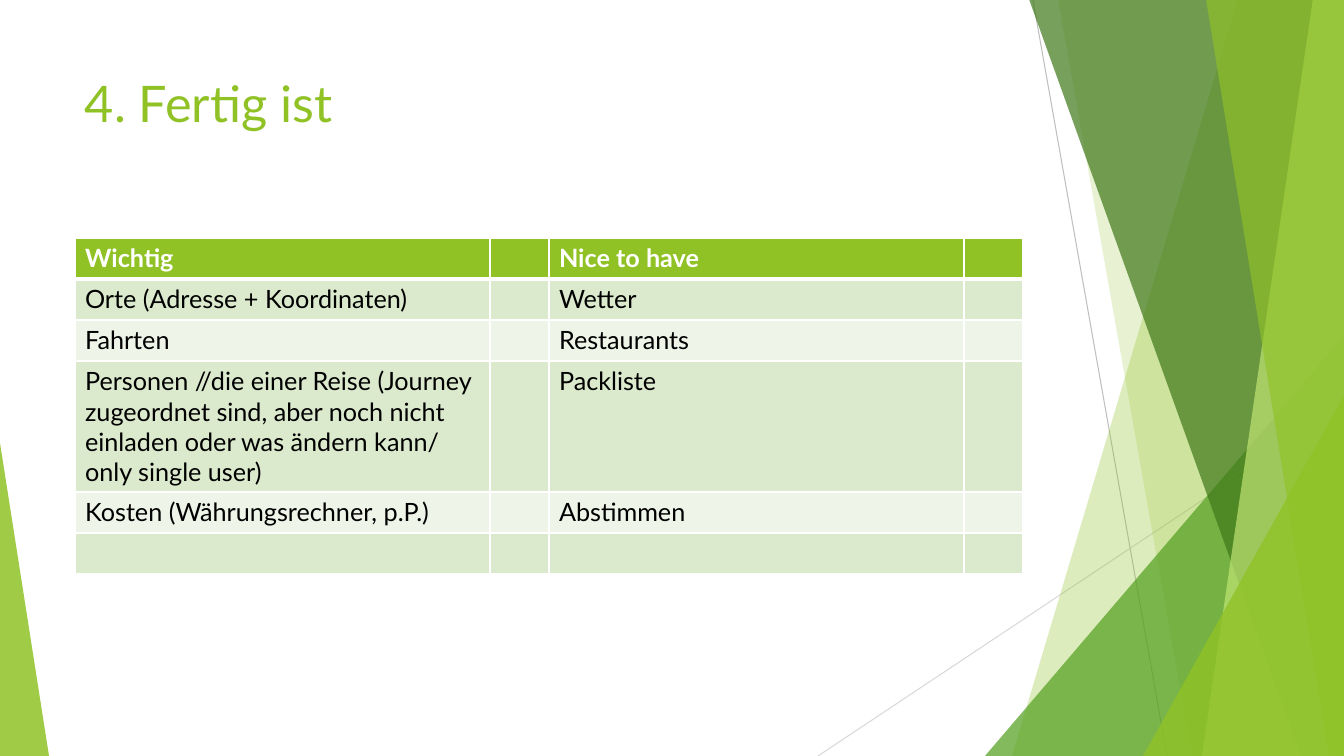
from lxml.etree import SubElement
from pptx import Presentation
from pptx.dml.color import RGBColor
from pptx.enum.shapes import MSO_CONNECTOR, MSO_SHAPE
from pptx.enum.text import MSO_ANCHOR
from pptx.oxml.ns import qn
from pptx.util import Pt

PX = 914400 / 100.8
WIDTH, HEIGHT = 1344, 756

WHITE = RGBColor(0xFF, 0xFF, 0xFF)
BLACK = RGBColor(0x00, 0x00, 0x00)
LIME = RGBColor(0x90, 0xC2, 0x26)
PALE_LIME = RGBColor(0xC0, 0xE4, 0x74)
GREEN = RGBColor(0x54, 0xA0, 0x21)
DARK_GREEN = RGBColor(0x3F, 0x78, 0x19)
BAND_DARK = RGBColor(0xDB, 0xE9, 0xCD)
BAND_LIGHT = RGBColor(0xEE, 0xF4, 0xE8)
GRAY = RGBColor(0xBF, 0xBF, 0xBF)
LIGHT_GRAY = RGBColor(0xD9, 0xD9, 0xD9)


def px(*lengths):
    return [round(length * PX) for length in lengths]


def write(frame, text, size=18, color=BLACK, bold=False, font="Lato"):
    span = frame.paragraphs[0].add_run()
    span.text = text
    span.font.name = font
    span.font.size = Pt(size)
    span.font.bold = bold
    span.font.color.rgb = color


class Page:
    """Draws the elements of one slide in its style."""

    def __init__(self, deck):
        self.slide = deck.slides.add_slide(deck.slide_layouts[6])
        self.shapes = self.slide.shapes

    def line(self, start, end, color):
        line = self.shapes.add_connector(MSO_CONNECTOR.STRAIGHT, *px(*start, *end))
        line.line.color.rgb = color
        line.line.width = Pt(0.75)
        SubElement(line._element.spPr, qn("a:effectLst"))

    def paint(self, shape, color, opacity):
        shape.shadow.inherit = False
        shape.line.fill.background()
        shape.fill.solid()
        shape.fill.fore_color.rgb = color
        tint = shape._element.spPr.find(".//" + qn("a:srgbClr"))
        SubElement(tint, qn("a:alpha")).set("val", str(opacity * 1000))

    def shard(self, top_left, bottom_left, color, opacity):
        """A full-height facet that reaches the right edge of the slide."""
        builder = self.shapes.build_freeform(top_left, -1, scale=PX)
        builder.add_line_segments(
            [(WIDTH, -1), (WIDTH, HEIGHT), (bottom_left, HEIGHT)], close=True)
        self.paint(builder.convert_to_shape(), color, opacity)

    def triangle(self, left, top, width, apex, color, opacity):
        """A triangle standing on the bottom edge of the slide."""
        shape = self.shapes.add_shape(
            MSO_SHAPE.ISOSCELES_TRIANGLE, *px(left, top, width, HEIGHT - top))
        shape.adjustments[0] = apex
        self.paint(shape, color, opacity)

    def text(self, place, text, **style):
        frame = self.shapes.add_textbox(*px(*place)).text_frame
        frame.word_wrap = True
        frame.vertical_anchor = MSO_ANCHOR.TOP
        write(frame, text, **style)

    def cell_borders(self, cell, top, bottom):
        properties = cell._tc.get_or_add_tcPr()
        for side, width in (("lnL", 1), ("lnR", 1), ("lnT", top), ("lnB", bottom)):
            border = SubElement(properties, qn("a:" + side), w=str(Pt(width)))
            fill = SubElement(border, qn("a:solidFill"))
            SubElement(fill, qn("a:srgbClr"), val=str(WHITE))

    def table(self, left, top, widths, row_height, rows):
        frame = self.shapes.add_table(
            len(rows), len(widths),
            *px(left, top, sum(widths), row_height * len(rows)))
        table = frame.table
        for column, width in zip(table.columns, px(*widths)):
            column.width = width
        for r, texts in enumerate(rows):
            table.rows[r].height = px(row_height)[0]
            header = r == 0
            band = LIME if header else BAND_DARK if r % 2 else BAND_LIGHT
            for c, text in enumerate(texts):
                cell = table.cell(r, c)
                self.cell_borders(cell, 3 if r == 1 else 1, 3 if header else 1)
                cell.fill.solid()
                cell.fill.fore_color.rgb = band
                if text:
                    write(cell.text_frame, text,
                          color=WHITE if header else BLACK, bold=header)


def main():
    deck = Presentation()
    deck.slide_width, deck.slide_height = px(WIDTH, HEIGHT)
    page = Page(deck)

    # Facets on the right
    page.line((1033, 0), (1167, HEIGHT), GRAY)
    page.line((WIDTH, 406), (818, HEIGHT), LIGHT_GRAY)
    page.shard(1238, 1012, LIME, 30)
    page.shard(1058, 1192, LIME, 20)
    page.triangle(985, 336, 359, 1, GREEN, 72)
    page.shard(1029, 1301, DARK_GREEN, 70)
    page.shard(1313, 1202, PALE_LIME, 70)
    page.shard(1206, 1329, LIME, 65)
    page.triangle(1143, 396, 201, 1, LIME, 80)

    # Facet on the left
    page.triangle(0, 443, 49, 0, LIME, 85)

    # Title
    page.text((75, 67, 948, 145), "4. Fertig ist", size=36, color=LIME)

    # Feature table
    page.table(75, 238, (415, 59, 415, 59), 41, [
        ("Wichtig", "", "Nice to have", ""),
        ("Orte (Adresse + Koordinaten)", "", "Wetter", ""),
        ("Fahrten", "", "Restaurants", ""),
        ("Personen //die einer Reise (Journey zugeordnet sind, aber noch nicht "
         "einladen oder was ändern kann/ only single user)", "", "Packliste", ""),
        ("Kosten (Währungsrechner, p.P.)", "", "Abstimmen", ""),
        ("", "", "", ""),
    ])

    deck.save("out.pptx")


if __name__ == "__main__":
    main()
